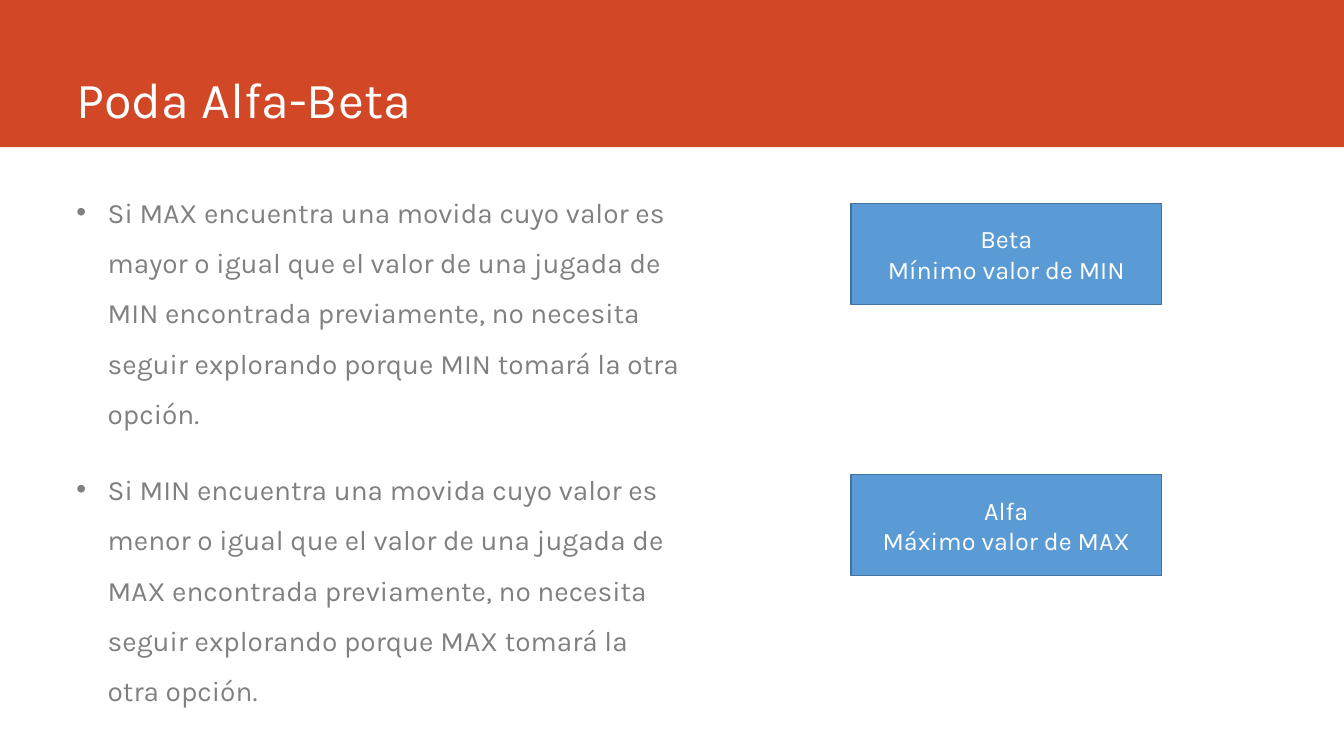
from dataclasses import dataclass

from lxml.etree import SubElement
from pptx import Presentation
from pptx.dml.color import RGBColor
from pptx.enum.shapes import MSO_SHAPE
from pptx.enum.text import MSO_ANCHOR, PP_ALIGN
from pptx.oxml.ns import qn
from pptx.util import Inches, Pt

# Content
TITLE = "Poda Alfa-Beta"
RULES = [
    "Si MAX encuentra una movida cuyo valor es mayor o igual que el valor de una "
    "jugada de MIN encontrada previamente, no necesita seguir explorando porque "
    "MIN tomará la otra opción.",
    "Si MIN encuentra una movida cuyo valor es menor o igual que el valor de una "
    "jugada de MAX encontrada previamente, no necesita seguir explorando porque "
    "MAX tomará la otra opción.",
]
BOUNDS = [
    ("Beta", "Mínimo valor de MIN"),
    ("Alfa", "Máximo valor de MAX"),
]


@dataclass(frozen=True)
class Theme:
    font: str = "Karla"
    banner: str = "D24726"
    box: str = "5B9BD5"
    box_edge: str = "43739E"
    light: str = "FFFFFF"
    body: str = "808080"
    title_size: int = 36
    body_size: int = 20
    box_size: int = 18


THEME = Theme()

# Layout, in inches
WIDTH, HEIGHT = 13.33, 7.5
MARGIN = 0.66
BANNER_HEIGHT = 1.46
TITLE_AREA = (MARGIN, 0, 11.76, 1.32)
RULES_AREA = (MARGIN, 1.72, 6.22, 4.76)
BOX_LEFT, BOX_TOP, BOX_WIDTH, BOX_HEIGHT = 8.44, 2.02, 3.08, 1
BOX_PITCH = 2.69
BULLET_INDENT = 0.31


def write(frame, lines, size, color, anchor=MSO_ANCHOR.TOP, align=PP_ALIGN.LEFT):
    frame.word_wrap = True
    frame.vertical_anchor = anchor
    frame.text = "\n".join(lines)
    for paragraph in frame.paragraphs:
        paragraph.alignment = align
        for run in paragraph.runs:
            run.font.name = THEME.font
            run.font.size = Pt(size)
            run.font.color.rgb = RGBColor.from_string(color)


def add_text(slide, area, *args, **kwargs):
    frame = slide.shapes.add_textbox(*map(Inches, area)).text_frame
    write(frame, *args, **kwargs)
    return frame


def add_rectangle(slide, area, fill, edge=None):
    rectangle = slide.shapes.add_shape(MSO_SHAPE.RECTANGLE, *map(Inches, area))
    rectangle.shadow.inherit = False
    rectangle.fill.solid()
    rectangle.fill.fore_color.rgb = RGBColor.from_string(fill)
    if edge:
        rectangle.line.color.rgb = RGBColor.from_string(edge)
        rectangle.line.width = Pt(1)
    else:
        rectangle.line.fill.background()
    return rectangle


def add_bullet(paragraph):
    paragraph.line_spacing = 1.5
    paragraph.space_before = Pt(0.3 * THEME.body_size)
    paragraph.space_after = Pt(12)
    properties = paragraph._p.get_or_add_pPr()
    properties.set("marL", str(Inches(BULLET_INDENT)))
    properties.set("indent", str(-Inches(BULLET_INDENT)))
    SubElement(properties, qn("a:buFont")).set("typeface", "Arial")
    SubElement(properties, qn("a:buChar")).set("char", "•")


def main():
    presentation = Presentation()
    presentation.slide_width = Inches(WIDTH)
    presentation.slide_height = Inches(HEIGHT)
    slide = presentation.slides.add_slide(presentation.slide_layouts[6])

    # Banner and title
    add_rectangle(slide, (0, 0, WIDTH, BANNER_HEIGHT), THEME.banner)
    add_text(slide, TITLE_AREA, [TITLE], THEME.title_size, THEME.light,
             anchor=MSO_ANCHOR.BOTTOM)

    # Pruning rules
    rules = add_text(slide, RULES_AREA, RULES, THEME.body_size, THEME.body)
    for paragraph in rules.paragraphs:
        add_bullet(paragraph)

    # Bound boxes
    for row, bound in enumerate(BOUNDS):
        area = (BOX_LEFT, BOX_TOP + row * BOX_PITCH, BOX_WIDTH, BOX_HEIGHT)
        box = add_rectangle(slide, area, THEME.box, THEME.box_edge)
        write(box.text_frame, bound, THEME.box_size, THEME.light,
              anchor=MSO_ANCHOR.MIDDLE, align=PP_ALIGN.CENTER)

    presentation.save("out.pptx")


if __name__ == "__main__":
    main()
